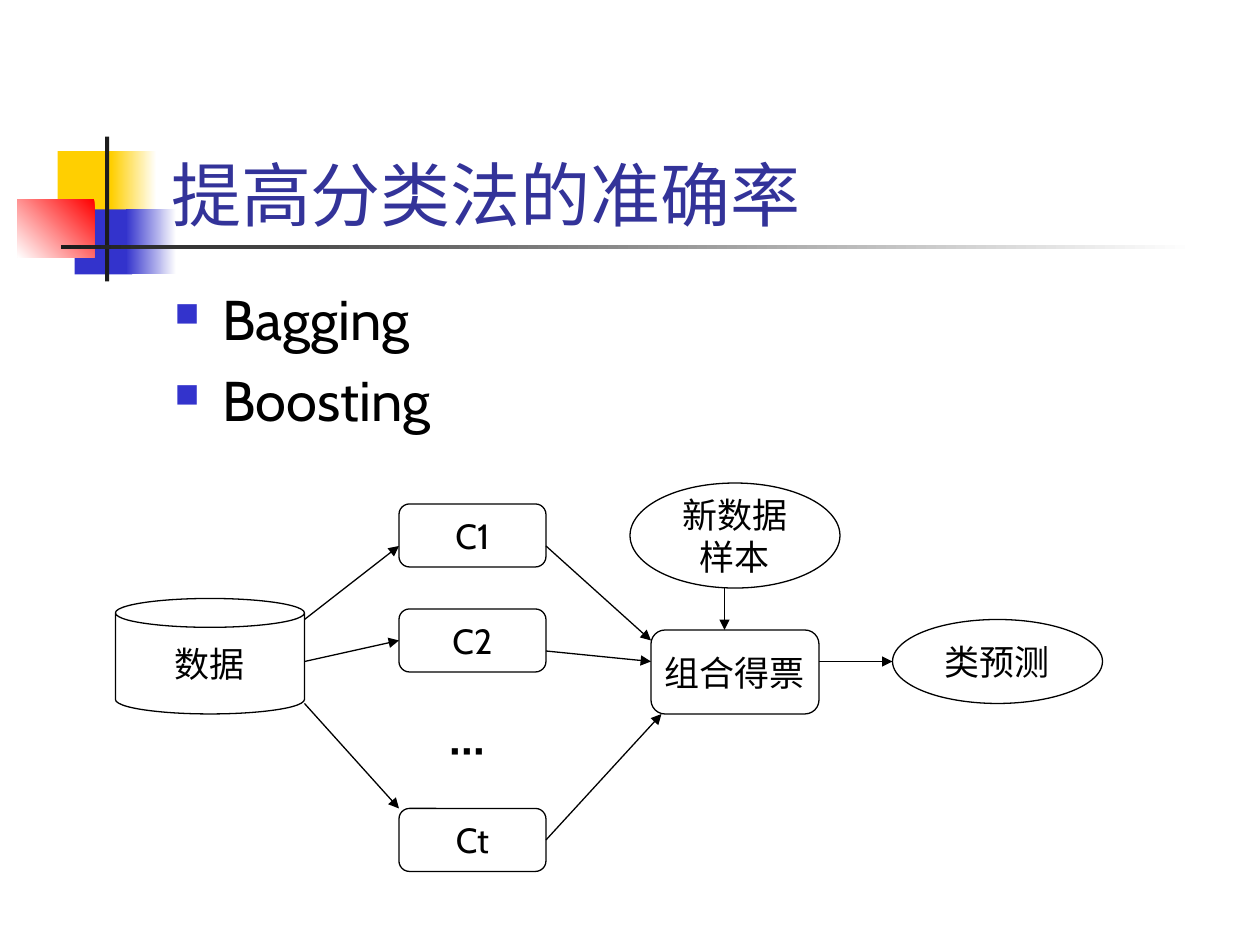
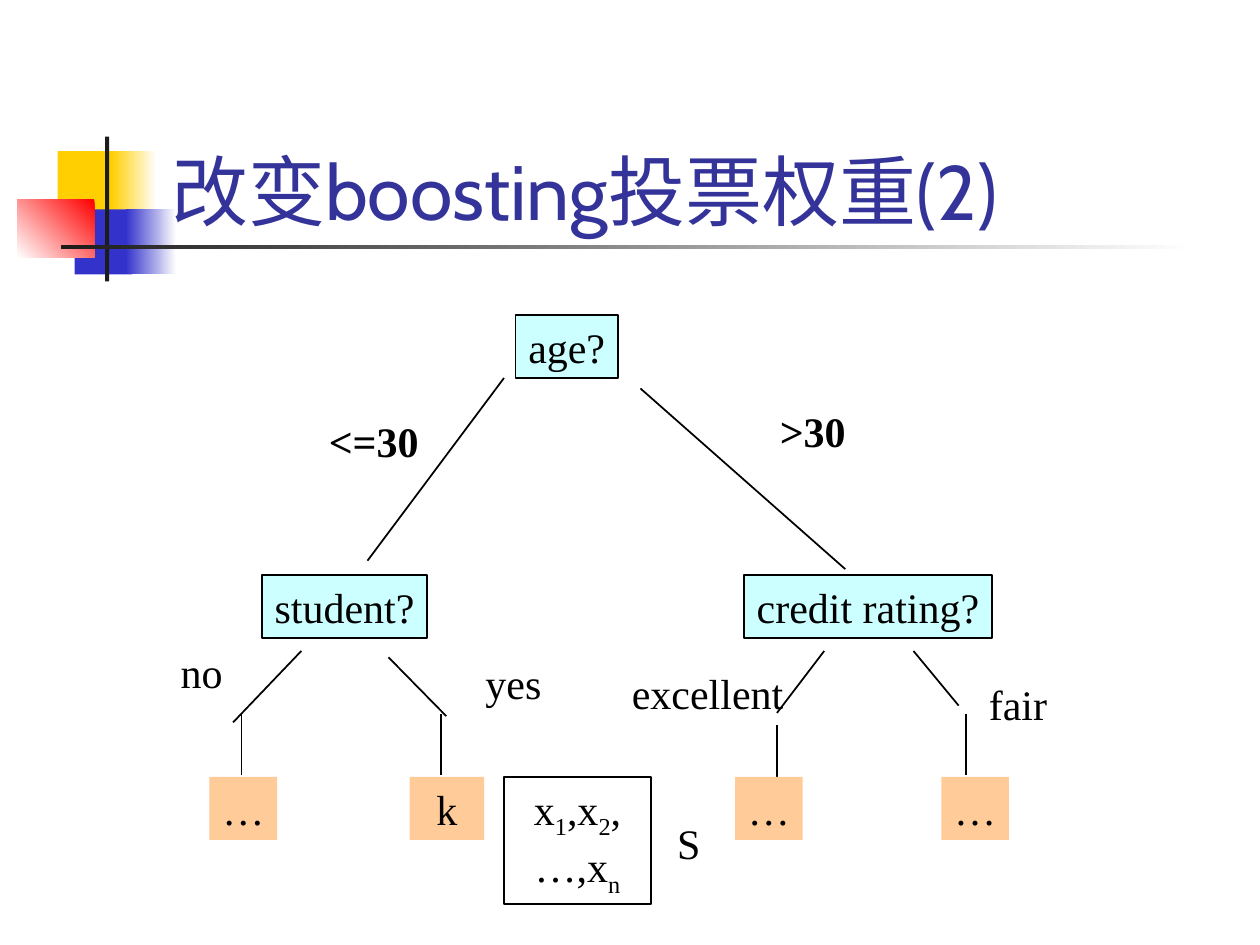
import dataclasses

import pptx
import pptx.dml.color
import pptx.enum.shapes
import pptx.enum.text
import pptx.oxml
import pptx.oxml.ns
import pptx.util
import lxml.etree

RGBColor = pptx.dml.color.RGBColor
BLACK = RGBColor(0x00, 0x00, 0x00)
WHITE = RGBColor(0xFF, 0xFF, 0xFF)
INK = RGBColor(0x1C, 0x1C, 0x1C)
YELLOW = RGBColor(0xFF, 0xCF, 0x01)
BLUE = RGBColor(0x33, 0x33, 0xCC)
RED = RGBColor(0xFF, 0x00, 0x00)
TITLE_BLUE = RGBColor(0x33, 0x33, 0x99)
QUESTION_CYAN = RGBColor(0xCC, 0xFF, 0xFF)
LEAF_ORANGE = RGBColor(0xFF, 0xCC, 0x99)

SANS = "Cabin"
SERIF = "Times New Roman"
SLIDE_WIDTH = pptx.util.Inches(10)
SLIDE_HEIGHT = pptx.util.Inches(7.5)
CELL = SLIDE_WIDTH // 120

SHAPE = pptx.enum.shapes.MSO_SHAPE
ALIGN = pptx.enum.text.PP_ALIGN
ANCHOR = pptx.enum.text.MSO_ANCHOR
qn = pptx.oxml.ns.qn


@dataclasses.dataclass
class Box:
    col: float
    row: float
    cols: float
    rows: float

    def point(self, col, row):
        return round((self.col + col) * CELL), round((self.row + row) * CELL)

    def place(self, col, row, cols, rows):
        return *self.point(col, row), round(cols * CELL), round(rows * CELL)

    def whole(self):
        return self.place(0, 0, self.cols, self.rows)


@dataclasses.dataclass
class Style:
    font: str
    size: float
    line_width: float
    anchor: object


FLOW = Style(SANS, 20, 0.75, ANCHOR.MIDDLE)
TREE = Style(SERIF, 24, 1, ANCHOR.TOP)


def set_font(paragraph, name, size, color=BLACK, bold=None):
    font = paragraph.font
    font.name, font.size, font.bold = name, pptx.util.Pt(size), bold
    font.color.rgb = color


def add_node(slide, place, text, style, kind=SHAPE.RECTANGLE, fill=WHITE,
             line=BLACK, size=None, bold=None, wrap=False):
    if fill is None:
        node = slide.shapes.add_textbox(*place)
    else:
        node = slide.shapes.add_shape(kind, *place)
        node.shadow.inherit = False
        node.fill.solid()
        node.fill.fore_color.rgb = fill
        if line is None:
            node.line.fill.background()
        else:
            node.line.color.rgb = line
            node.line.width = pptx.util.Pt(style.line_width)
    frame = node.text_frame
    frame.word_wrap = wrap
    frame.vertical_anchor = style.anchor
    frame.text = text
    for paragraph in frame.paragraphs:
        paragraph.alignment = ALIGN.CENTER
        set_font(paragraph, style.font, size or style.size, bold=bold)
    return node


def add_line(slide, start, end, style, arrow=False):
    line = slide.shapes.add_connector(
        pptx.enum.shapes.MSO_CONNECTOR.STRAIGHT, *start, *end)
    line.line.color.rgb = BLACK
    line.line.width = pptx.util.Pt(style.line_width)
    properties = line._element.spPr
    if arrow:
        lxml.etree.SubElement(
            properties.find(qn("a:ln")), qn("a:tailEnd"), type="triangle")
    lxml.etree.SubElement(properties, qn("a:effectLst"))


def add_emblem(slide, box):
    for place, start, end, angle in (
        ((4, 1.4, 5.8, 6.2), YELLOW, None, 0),
        ((9.1, 1.4, 4.3, 6.2), WHITE, YELLOW, 180),
        ((5.6, 6.95, 5.5, 6.2), BLUE, None, 0),
        ((10.5, 6.95, 4.8, 6.2), WHITE, BLUE, 180),
        ((0.15, 6, 7.35, 5.5), RED, WHITE, 225),
        ((8.5, 0, 0.4, 13.8), INK, None, 0),
        ((4.3, 10.35, 108, 0.4), WHITE, INK, 180),
    ):
        block = slide.shapes.add_shape(SHAPE.RECTANGLE, *box.place(*place))
        block.shadow.inherit = False
        block.line.fill.background()
        if end is None:
            block.fill.solid()
            block.fill.fore_color.rgb = start
        else:
            block.fill.gradient()
            block.fill.gradient_angle = angle
            for stop, color in zip(block.fill.gradient_stops, (start, end)):
                stop.color.rgb = color


def add_title(slide, box, text, size):
    title = slide.shapes.title
    title.left, title.top, title.width, title.height = box.whole()
    frame = title.text_frame
    frame.text = text
    frame.word_wrap = True
    frame.auto_size = pptx.enum.text.MSO_AUTO_SIZE.NONE
    frame.vertical_anchor = ANCHOR.BOTTOM
    frame.paragraphs[0].alignment = ALIGN.LEFT
    set_font(frame.paragraphs[0], SANS, size, TITLE_BLUE)
    title._element.getparent().append(title._element)


def add_titled_slide(deck, text, size, title_cols):
    slide = deck.slides.add_slide(deck.slide_layouts[5])
    add_emblem(slide, Box(1.5, 13, 113, 14))
    add_title(slide, Box(15.1, 8.05, title_cols, 15), text, size)
    return slide


def add_methods(slide, box, methods):
    frame = slide.shapes.add_textbox(*box.whole()).text_frame
    frame.word_wrap = True
    frame.text = "\n".join(methods)
    for paragraph in frame.paragraphs:
        properties = paragraph._p.get_or_add_pPr()
        indent = pptx.util.Inches(0.38)
        properties.set("marL", str(indent))
        properties.set("indent", str(-indent))
        color = lxml.etree.SubElement(properties, qn("a:buClr"))
        lxml.etree.SubElement(color, qn("a:srgbClr"), val=str(BLUE))
        lxml.etree.SubElement(properties, qn("a:buSzPct"), val="60000")
        lxml.etree.SubElement(properties, qn("a:buChar"), char="■")
        paragraph.space_before = pptx.util.Pt(8)
        set_font(paragraph, SANS, 32)


def add_voting_flow(slide, box):
    for text, kind, place in (
        ("数据", SHAPE.CAN, (0, 11, 18, 11)),
        ("组合得票", SHAPE.ROUNDED_RECTANGLE, (51, 14, 16, 8)),
        ("新数据\n样本", SHAPE.OVAL, (49, 0, 20, 10)),
        ("类预测", SHAPE.OVAL, (74, 13, 20, 8)),
    ):
        add_node(slide, box.place(*place), text, FLOW, kind)
    for classifier, row in (("C1", 2), ("C2", 12), ("Ct", 31)):
        add_node(slide, box.place(27, row, 14, 6), classifier, FLOW,
                 SHAPE.ROUNDED_RECTANGLE)
    add_node(slide, box.place(29, 22, 9, 6), "···", FLOW, line=WHITE, size=28)
    for start, end in (
        ((18, 13), (27, 6)),
        ((18, 17), (27, 15)),
        ((18, 21), (27, 31)),
        ((41, 6), (51, 15)),
        ((41, 16), (51, 17)),
        ((41, 34), (52, 22)),
        ((58, 10), (58, 14)),
        ((67, 17), (74, 17)),
    ):
        add_line(slide, box.point(*start), box.point(*end), FLOW, arrow=True)


def add_samples(slide, box):
    samples = add_node(slide, box.whole(), "", TREE, wrap=True)
    paragraph = samples.text_frame.paragraphs[0]
    for text, subscript in (("x", "1"), (",x", "2"), (",…,x", "n")):
        paragraph.add_run().text = text
        index = paragraph.add_run()
        index.text = subscript
        index._r.get_or_add_rPr().set("baseline", "-25000")


def add_decision_tree(slide, box):
    for start, end in (
        ((33, 6), (20, 23.4)),
        ((46, 7), (65.5, 24.2)),
        ((13.7, 32), (7.2, 38.8)),
        ((22, 32.6), (27.5, 38.2)),
        ((63.5, 32), (59, 37.9)),
        ((72, 32), (76.3, 37.2)),
    ):
        add_line(slide, box.point(*start), box.point(*end), TREE)
    for col, row in ((8, 38), (27, 38), (59, 39), (77, 38)):
        add_line(slide, box.point(col, row), box.point(col, row + 5.8), TREE)
    for question, col, row, cols in (
        ("age?", 34.1, 0, 9.75),
        ("student?", 9.95, 24.75, 15.75),
        ("credit rating?", 55.85, 24.75, 23.65),
    ):
        add_node(slide, box.place(col, row, cols, 6), question, TREE,
                 fill=QUESTION_CYAN)
    for answer, center, row, cols in (
        ("no", 4.2, 31, 8),
        ("yes", 33.9, 32, 9),
        ("excellent", 52.4, 33, 18),
        ("fair", 81.95, 34, 9),
    ):
        add_node(slide, box.place(center - cols / 2, row, cols, 6), answer,
                 TREE, fill=None)
    for age, col, row, cols, line in (
        ("<=30", 15.1, 9, 11, WHITE),
        (">30", 58, 8, 8.8, None),
    ):
        add_node(slide, box.place(col, row, cols, 6), age, TREE, line=line,
                 bold=True)
    for leaf, col, cols in (
        ("…", 4.95, 6.45), ("k", 24, 7.1), ("…", 55, 6.45), ("…", 74.65, 6.45),
    ):
        add_node(slide, box.place(col, 44, cols, 6), leaf, TREE,
                 fill=LEAF_ORANGE, line=None)
    add_samples(slide, Box(box.col + 33, box.row + 44, 14, 12.1))
    sample_set = add_node(slide, box.place(48, 47, 5.2, 6.5), "S", TREE,
                          SHAPE.ROUNDED_RECTANGLE, line=WHITE)
    sample_set.text_frame.vertical_anchor = ANCHOR.MIDDLE


def main():
    deck = pptx.Presentation()
    deck.slide_width, deck.slide_height = SLIDE_WIDTH, SLIDE_HEIGHT
    accuracy = add_titled_slide(deck, "提高分类法的准确率", 40, 102.2)
    add_methods(accuracy, Box(15.45, 26.5, 93.5, 16.5), ("Bagging", "Boosting"))
    add_voting_flow(accuracy, Box(11, 46, 94, 37))
    weights = add_titled_slide(deck, "改变boosting投票权重(2)", 44, 85.9)
    add_decision_tree(weights, Box(15, 30, 86, 57))
    deck.save("out.pptx")


if __name__ == "__main__":
    main()
